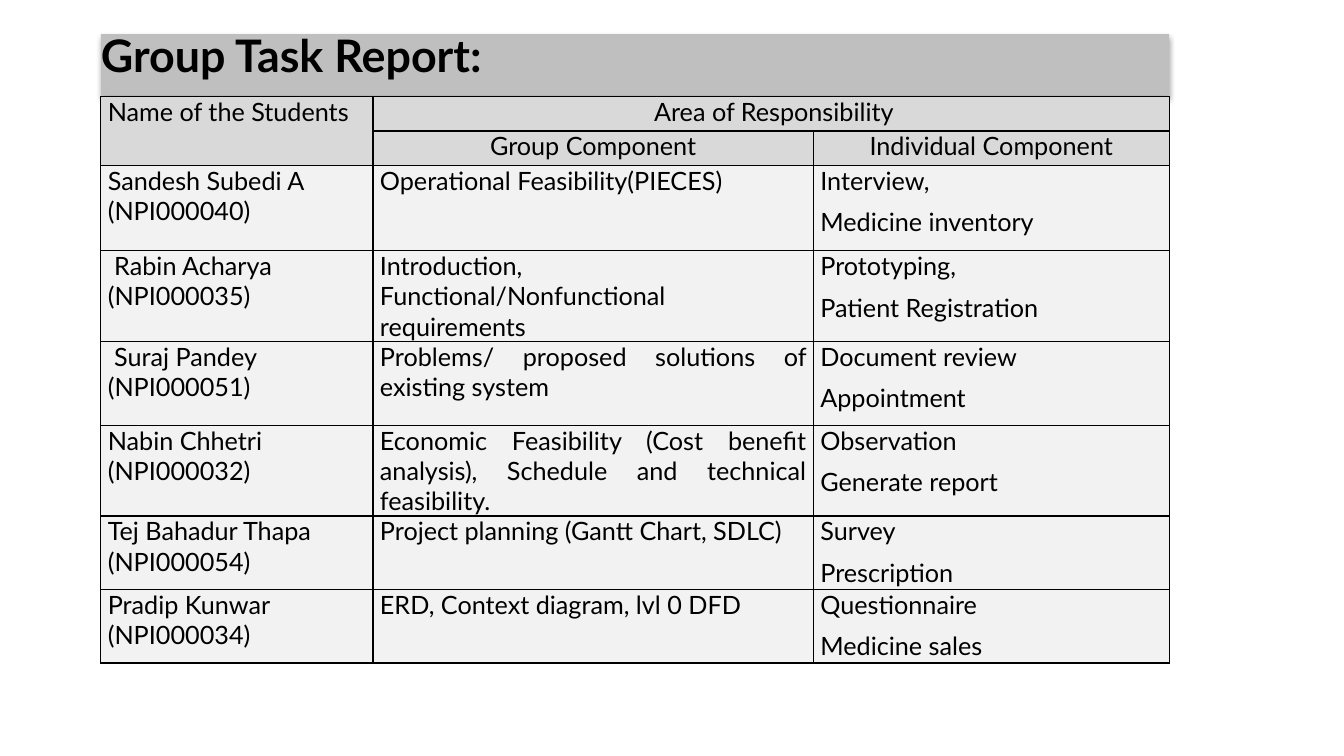
from dataclasses import dataclass

from lxml import etree
from pptx import Presentation
from pptx import util as u
from pptx.dml.color import RGBColor
from pptx.enum import text
from pptx.oxml import ns

COLORS = {"ink": "000000", "title": "BFBFBF", "header": "D9D9D9", "body": "F2F2F2"}
FONT = "Lato"
LEFT, WIDTH = 7.5, 79.5
COLUMNS = [20.25, 32.77, 26.48]
HEADER_ROW = 4.53
ALIGN = text.PP_ALIGN


@dataclass
class Student:
    name: str
    group: str
    individual: list[str]
    height: float


STUDENTS = [
    Student("Sandesh Subedi A (NPI000040)", "Operational Feasibility(PIECES)",
            ["Interview,", "Medicine inventory"], 11.33),
    Student(" Rabin Acharya (NPI000035)", "Introduction, Functional/Nonfunctional requirements",
            ["Prototyping,", "Patient Registration"], 11.07),
    Student(" Suraj Pandey (NPI000051)", "Problems/ proposed solutions of existing system",
            ["Document review", "Appointment"], 11.07),
    Student("Nabin Chhetri (NPI000032)",
            "Economic Feasibility (Cost benefit analysis), Schedule and technical feasibility.",
            ["Observation", "Generate report"], 9.73),
    Student("Tej Bahadur Thapa (NPI000054)", "Project planning (Gantt Chart, SDLC)",
            ["Survey", "Prescription"], 9.73),
    Student("Pradip Kunwar (NPI000034)", "ERD, Context diagram, lvl 0 DFD",
            ["Questionnaire", "Medicine sales"], 9.73),
]

prs = Presentation()
prs.slide_width, prs.slide_height = u.Inches(13.33), u.Inches(7.5)


def x(percent: float) -> int:
    return int(prs.slide_width * percent / 100)


def y(percent: float) -> int:
    return int(prs.slide_height * percent / 100)


def set_font(p, size: float, bold: bool = False) -> None:
    p.font.name, p.font.size, p.font.bold = FONT, u.Pt(size), bold
    p.font.color.rgb = RGBColor.from_string(COLORS["ink"])


def add_solid(parent, color: str):
    fill = etree.SubElement(parent, ns.qn("a:solidFill"))
    return etree.SubElement(fill, ns.qn("a:srgbClr"), val=COLORS[color])


def add_shadow(sp) -> None:
    effects = etree.SubElement(sp._element.spPr, ns.qn("a:effectLst"))
    shadow = etree.SubElement(effects, ns.qn("a:outerShdw"), blurRad=str(u.Pt(4)),
                              dist=str(u.Pt(3)), dir="5400000", rotWithShape="0")
    color = etree.SubElement(shadow, ns.qn("a:srgbClr"), val=COLORS["ink"])
    etree.SubElement(color, ns.qn("a:alpha"), val="40000")


def add_title(s, title: str) -> None:
    sp = s.shapes.title
    sp.left, sp.top, sp.width, sp.height = x(LEFT), y(4.53), x(WIDTH), y(8.13)
    sp.fill.solid()
    sp.fill.fore_color.rgb = RGBColor.from_string(COLORS["title"])
    add_shadow(sp)
    tf = sp.text_frame
    tf.text = title
    tf.word_wrap, tf.auto_size = True, text.MSO_AUTO_SIZE.NONE
    tf.vertical_anchor = text.MSO_ANCHOR.TOP
    tf.margin_left = tf.margin_right = tf.margin_top = tf.margin_bottom = 0
    p = tf.paragraphs[0]
    p.alignment, p.line_spacing, p.space_before = ALIGN.LEFT, 0.9, u.Pt(4.5)
    set_font(p, 32, True)


def style_cell(cell, fill: str) -> None:
    tcPr = cell._tc.get_or_add_tcPr()
    for side in ("lnL", "lnR", "lnT", "lnB"):
        add_solid(etree.SubElement(tcPr, ns.qn(f"a:{side}"), w=str(u.Pt(1))), "ink")
    cell.fill.solid()
    cell.fill.fore_color.rgb = RGBColor.from_string(COLORS[fill])
    cell.margin_left = cell.margin_right = u.Inches(0.07)
    cell.margin_top = cell.margin_bottom = 0


def write_cell(cell, lines: list[str], align: text.PP_ALIGN) -> None:
    cell.text = "\n".join(lines)
    for p in cell.text_frame.paragraphs:
        p.alignment, p.space_after = align, u.Pt(8)
        set_font(p, 18)


def add_task_table(s, students: list[Student]) -> None:
    heights = [HEADER_ROW] * 2 + [student.height for student in students]
    table = s.shapes.add_table(len(heights), len(COLUMNS), x(LEFT), y(12.8),
                               x(WIDTH), y(sum(heights))).table
    for column, width in zip(table.columns, COLUMNS):
        column.width = x(width)
    for i, (row, height) in enumerate(zip(table.rows, heights)):
        row.height = y(height)
        for cell in row.cells:
            style_cell(cell, "header" if i < 2 else "body")
    table.cell(0, 0).merge(table.cell(1, 0))
    table.cell(0, 1).merge(table.cell(0, 2))
    write_cell(table.cell(0, 0), ["Name of the Students"], ALIGN.JUSTIFY)
    write_cell(table.cell(0, 1), [" Area of Responsibility"], ALIGN.CENTER)
    write_cell(table.cell(1, 1), ["Group Component"], ALIGN.CENTER)
    write_cell(table.cell(1, 2), ["Individual Component"], ALIGN.CENTER)
    for i, student in enumerate(students, 2):
        write_cell(table.cell(i, 0), [student.name], ALIGN.LEFT)
        write_cell(table.cell(i, 1), [student.group], ALIGN.JUSTIFY)
        write_cell(table.cell(i, 2), student.individual, ALIGN.JUSTIFY)


def main() -> None:
    s = prs.slides.add_slide(prs.slide_layouts[5])
    add_title(s, "Group Task Report:")
    add_task_table(s, STUDENTS)
    prs.save("out.pptx")


if __name__ == "__main__":
    main()
